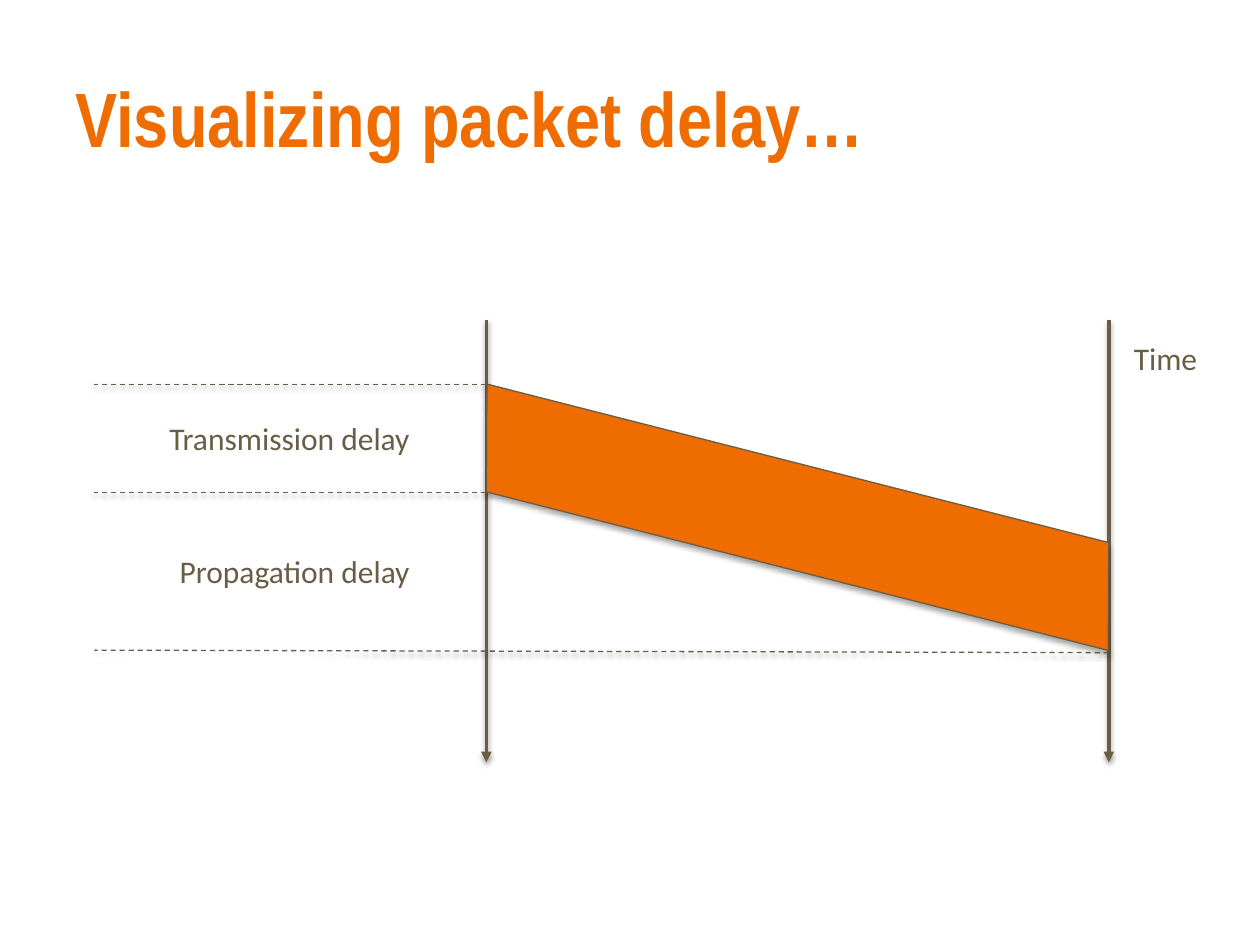
import pptx
import pptx.dml.color
import pptx.enum.dml
import pptx.enum.shapes
import pptx.enum.text
import pptx.oxml
import pptx.oxml.ns
import pptx.util
from pptx.util import Inches

COLORS = {"orange": "EF6C00", "brown": "695D46", "shadow": "000000"}


def rgb(name):
    return pptx.dml.color.RGBColor.from_string(COLORS[name])


class DiagramSlide:
    """Holds the shared style and the current slide."""

    label_format = {"name": "Calibri", "size": pptx.util.Pt(18)}
    title_format = {"name": "Arial Narrow", "size": pptx.util.Pt(44), "bold": True}

    def __init__(self, presentation):
        self.slide = presentation.slides.add_slide(presentation.slide_layouts[6])

    def add_text(self, text, left, top, width, height, color="brown",
                 text_format=label_format,
                 alignment=pptx.enum.text.PP_ALIGN.RIGHT,
                 anchor=pptx.enum.text.MSO_ANCHOR.TOP):
        box = self.slide.shapes.add_textbox(
            Inches(left), Inches(top), Inches(width), Inches(height))
        frame = box.text_frame
        frame.word_wrap = True
        frame.vertical_anchor = anchor
        paragraph = frame.paragraphs[0]
        paragraph.alignment = alignment
        run = paragraph.add_run()
        run.text = text
        for attribute, value in text_format.items():
            setattr(run.font, attribute, value)
        run.font.color.rgb = rgb(color)

    def add_shadow(self, shape, opacity, distance):
        effects = pptx.oxml.parse_xml(
            f'<a:effectLst {pptx.oxml.ns.nsdecls("a")}>'
            f'<a:outerShdw blurRad="{pptx.util.Pt(3.1)}" dist="{pptx.util.Pt(distance)}" '
            f'dir="5400000" rotWithShape="0"><a:srgbClr val="{COLORS["shadow"]}">'
            f'<a:alpha val="{opacity * 1000}"/></a:srgbClr></a:outerShdw></a:effectLst>')
        shape._element.spPr.append(effects)

    def add_line(self, start, end, width=0.75, dashed=False, arrow=False):
        connector = self.slide.shapes.add_connector(
            pptx.enum.shapes.MSO_CONNECTOR.STRAIGHT,
            *(Inches(value) for value in (*start, *end)))
        connector.line.color.rgb = rgb("brown")
        connector.line.width = pptx.util.Pt(width)
        if dashed:
            connector.line.dash_style = pptx.enum.dml.MSO_LINE.DASH
        if arrow:
            connector.line._get_or_add_ln().append(pptx.oxml.parse_xml(
                f'<a:tailEnd {pptx.oxml.ns.nsdecls("a")} type="triangle"/>'))
        self.add_shadow(connector, 38, 1.6)

    def add_packet(self, left, top, width, height, rotation):
        shape = self.slide.shapes.add_shape(
            pptx.enum.shapes.MSO_SHAPE.PARALLELOGRAM,
            Inches(left), Inches(top), Inches(width), Inches(height))
        shape.adjustments[0] = 0.25
        shape.rotation = rotation
        shape._element.spPr.xfrm.set("flipH", "1")
        shape.fill.solid()
        shape.fill.fore_color.rgb = rgb("orange")
        shape.line.color.rgb = rgb("brown")
        shape.line.width = pptx.util.Pt(0.75)
        self.add_shadow(shape, 35, 1.8)


def main():
    presentation = pptx.Presentation()
    presentation.slide_width = Inches(10)
    presentation.slide_height = Inches(7.5)
    diagram = DiagramSlide(presentation)

    # Title
    diagram.add_text("Visualizing packet delay…", 0.5, 0.3, 9, 1.25, "orange",
                     diagram.title_format, pptx.enum.text.PP_ALIGN.LEFT,
                     pptx.enum.text.MSO_ANCHOR.MIDDLE)

    # Time axes of sender and receiver
    sender, receiver = 3.86, 8.8
    for axis in (sender, receiver):
        diagram.add_line((axis, 2.54), (axis, 6.05), width=2, arrow=True)

    # Packet travelling between the axes
    diagram.add_packet(3.68, 3.69, 5.3, 0.83, rotation=194.3)

    # Dashed limits of each delay
    for axis, start_y, end_y in ((sender, 3.05, 3.05), (sender, 3.91, 3.91),
                                 (receiver, 5.18, 5.16)):
        diagram.add_line((axis, start_y), (0.75, end_y), dashed=True)

    # Labels
    for text, left, top, width in (("Transmission delay", 0.91, 3.28, 2.44),
                                   ("Propagation delay", 1.09, 4.33, 2.26),
                                   ("Time", 8.8, 2.64, 0.8)):
        diagram.add_text(text, left, top, width, 0.4)

    presentation.save("out.pptx")


if __name__ == "__main__":
    main()
